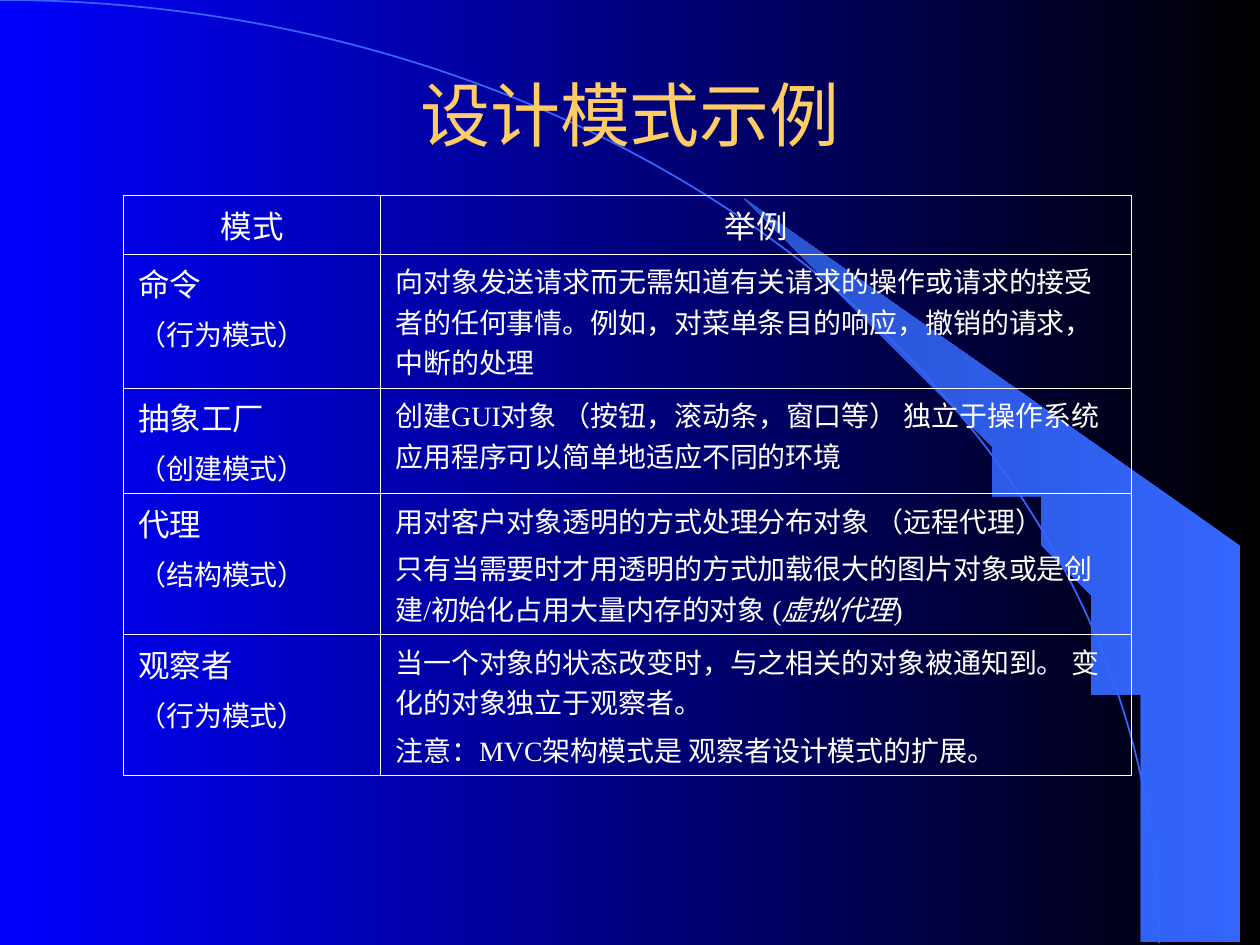
from math import cos, radians, sin

from pptx import Presentation
from pptx.dml.color import RGBColor
from pptx.enum.shapes import MSO_SHAPE
from pptx.enum.text import MSO_ANCHOR, PP_ALIGN
from pptx.oxml import parse_xml
from pptx.oxml.ns import nsdecls
from pptx.util import Cm, Pt

BLACK = RGBColor(0x00, 0x00, 0x00)
BLUE = RGBColor(0x00, 0x00, 0xFF)
SKY = RGBColor(0x33, 0x66, 0xFF)
DEEP_SKY = RGBColor(0x28, 0x51, 0xCC)
GOLD = RGBColor(0xFF, 0xCC, 0x66)
WHITE = RGBColor(0xFF, 0xFF, 0xFF)

# Radii of the arc in cm; its centre lies on the left edge of the page
RADIUS_X, RADIUS_Y = 23.37, 19.02
OUTER_LINE, INNER_LINE = Pt(1.08), Pt(0.45)
NAME_SIZE, DETAIL_SIZE = Pt(18), Pt(16)

COLUMN_WIDTHS = (5.18, 15.14)
ROW_HEIGHTS = (1.12, 2.34, 1.88, 2.46, 2.46)
HEADINGS = ("模式", "举例")

# Name, kind, and example paragraphs; each paragraph is a list of (text, italic)
PATTERNS = [
    ("命令", "（行为模式）", [
        [("向对象发送请求而无需知道有关请求的操作或请求的接受者的任何事情。"
          "例如，对菜单条目的响应，撤销的请求，中断的处理", False)],
    ]),
    ("抽象工厂", "（创建模式）", [
        [("创建GUI对象 （按钮，滚动条，窗口等） 独立于操作系统"
          "应用程序可以简单地适应不同的环境", False)],
    ]),
    ("代理", "（结构模式）", [
        [("用对客户对象透明的方式处理分布对象 （远程代理）", False)],
        [("只有当需要时才用透明的方式加载很大的图片对象或是创建/初始化占用大量内存的对象 (", False),
         ("虚拟代理", True), (")", False)],
    ]),
    ("观察者", "（行为模式）", [
        [("当一个对象的状态改变时，与之相关的对象被通知到。 变化的对象独立于观察者。", False)],
        [("注意：MVC架构模式是 观察者设计模式的扩展。", False)],
    ]),
]


def set_gradient(fill, start, end):
    fill.gradient()
    fill.gradient_angle = 180
    for stop, position, color in zip(fill.gradient_stops, (0, 1), (start, end)):
        stop.position = position
        stop.color.rgb = color


def add_band(page):
    """Filled band between the arc and the right edge of the page."""
    angles = [radians(degree) for degree in range(90, 39, -2)]
    curve = [(RADIUS_X * sin(angle), RADIUS_Y * (1 - cos(angle))) for angle in angles]
    builder = page.shapes.build_freeform(*curve[0], scale=Cm(1))
    builder.add_line_segments(curve[1:] + [(25.37, 10.74), (25.37, RADIUS_Y)], close=True)
    band = builder.convert_to_shape()
    band.shadow.inherit = False
    set_gradient(band.fill, SKY, DEEP_SKY)
    band.line.fill.background()
    return band


def add_arc(page):
    arc = page.shapes.add_shape(MSO_SHAPE.ARC, Cm(-RADIUS_X), Cm(0),
                                Cm(2 * RADIUS_X), Cm(2 * RADIUS_Y))
    arc.shadow.inherit = False
    arc.fill.background()
    arc.line.color.rgb = SKY
    arc.line.width = Pt(1)
    return arc


def add_span(para, text, size, color=WHITE, font="Times New Roman", italic=False):
    span = para.add_run()
    span.text = text
    span.font.name = font
    span.font.size = size
    span.font.color.rgb = color
    span.font.bold = False
    span.font.italic = italic


def format_title(title):
    title.left, title.top = Cm(1.9), Cm(1.7)
    title.width, title.height = Cm(21.6), Cm(1.17)
    frame = title.text_frame
    frame.vertical_anchor = MSO_ANCHOR.MIDDLE
    para = frame.paragraphs[0]
    para.alignment = PP_ALIGN.CENTER
    add_span(para, "设计模式示例", Pt(40), GOLD, "Arial")


def format_cell(cell, outer_sides):
    """Give a cell margins, borders (heavier on the outer sides) and no fill."""
    cell.margin_left = cell.margin_right = Cm(0.3)
    cell.margin_top = cell.margin_bottom = Cm(0.13)
    properties = cell._tc.get_or_add_tcPr()
    for side in "LRTB":
        width = OUTER_LINE if side in outer_sides else INNER_LINE
        properties.append(parse_xml(
            f'<a:ln{side} {nsdecls("a")} w="{width}"><a:solidFill>'
            f'<a:srgbClr val="{WHITE}"/></a:solidFill></a:ln{side}>'))
    cell.fill.background()


def fill_cell(cell, paragraphs, alignment=PP_ALIGN.LEFT):
    """Write paragraphs given as (size, spans)."""
    frame = cell.text_frame
    for index, (size, spans) in enumerate(paragraphs):
        para = frame.add_paragraph() if index else frame.paragraphs[0]
        para.alignment = alignment
        if index:
            para.space_before = Pt(4)
        for text, italic in spans:
            add_span(para, text, size, italic=italic)


def add_pattern_table(page):
    rows, columns = len(ROW_HEIGHTS), len(COLUMN_WIDTHS)
    table = page.shapes.add_table(rows, columns, Cm(2.49), Cm(3.94),
                                  Cm(sum(COLUMN_WIDTHS)), Cm(sum(ROW_HEIGHTS))).table
    table.first_row = table.horz_banding = False
    for column, width in zip(table.columns, COLUMN_WIDTHS):
        column.width = Cm(width)
    for row, height in zip(table.rows, ROW_HEIGHTS):
        row.height = Cm(height)

    # Borders
    for row in range(rows):
        for column in range(columns):
            outer_sides = "L" if column == 0 else "R"
            outer_sides += {0: "T", rows - 1: "B"}.get(row, "")
            format_cell(table.cell(row, column), outer_sides)

    # Text
    for column, heading in enumerate(HEADINGS):
        fill_cell(table.cell(0, column), [(NAME_SIZE, [(heading, False)])], PP_ALIGN.CENTER)
    for row, (name, kind, examples) in enumerate(PATTERNS, start=1):
        fill_cell(table.cell(row, 0), [(NAME_SIZE, [(name, False)]),
                                       (DETAIL_SIZE, [(kind, False)])])
        fill_cell(table.cell(row, 1), [(DETAIL_SIZE, spans) for spans in examples])


def main():
    deck = Presentation()
    deck.slide_width, deck.slide_height = Cm(25.4), Cm(19.05)
    page = deck.slides.add_slide(deck.slide_layouts[5])
    set_gradient(page.background.fill, BLACK, BLUE)

    # Decoration goes behind the title
    title = page.shapes.title
    for shape in (add_band(page), add_arc(page)):
        title._element.addprevious(shape._element)

    format_title(title)
    add_pattern_table(page)
    deck.save("out.pptx")


if __name__ == "__main__":
    main()
